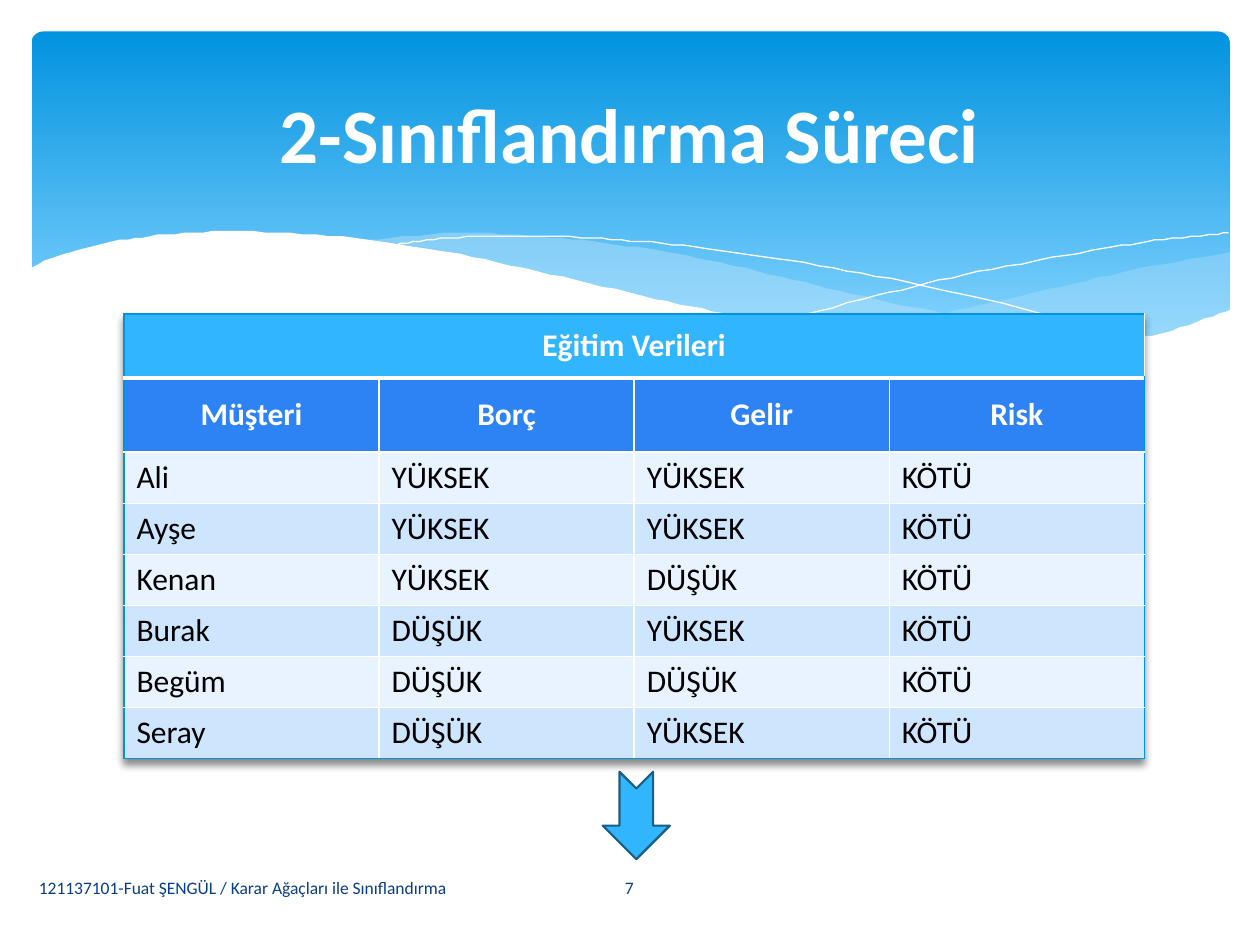
from dataclasses import dataclass
from lxml import etree
from pptx import Presentation
from pptx.dml.color import RGBColor as Rgb
from pptx.enum.shapes import MSO_SHAPE as Shape
from pptx.enum.text import MSO_ANCHOR as Anchor, PP_ALIGN as Align
from pptx.oxml import parse_xml
from pptx.oxml.ns import nsdecls, qn
from pptx.util import Pt


@dataclass(frozen=True)
class Theme:
    font: str = "Calibri"
    title_size: int = 44
    table_size: int = 18
    footer_size: int = 10
    white: str = "FFFFFF"
    black: str = "000000"
    navy: str = "073E87"
    deep: str = "0293E0"
    pale: str = "83D3FE"
    wave: str = "C6E7FC"
    sky: str = "31B6FD"
    blue: str = "2D83F4"
    outline: str = "195F84"
    bands: tuple = ("E8F3FF", "CEE5FE")


def smooth(nodes, steps=8):
    """Catmull-Rom curve through the nodes."""
    ends = [nodes[0], *nodes, nodes[-1]]
    points = [nodes[0]]
    for a, b, c, d in zip(ends, ends[1:], ends[2:], ends[3:]):
        for step in range(1, steps + 1):
            t = step / steps
            points.append(tuple(
                (2 * q + (r - p) * t + (2 * p - 5 * q + 4 * r - s) * t ** 2
                 + (3 * q - p - 3 * r + s) * t ** 3) / 2
                for p, q, r, s in zip(a, b, c, d)))
    return points


class SlideMaker:
    def __init__(self, page, theme):
        self.page, self.theme = page, theme

    def add_span(self, frame, text, size, color, bold=False, align=Align.LEFT):
        para = frame.paragraphs[0]
        para.alignment = align
        span = para.add_run()
        span.text = text
        span.font.color.rgb = Rgb.from_string(color)
        formats = {"name": self.theme.font, "size": Pt(size), "bold": bold}
        for name, value in formats.items():
            setattr(span.font, name, value)

    def text(self, area, text, size, color, **style):
        frame = self.page.shapes.add_textbox(*map(Pt, area)).text_frame
        formats = {"word_wrap": True, "vertical_anchor": Anchor.MIDDLE}
        for name, value in formats.items():
            setattr(frame, name, value)
        self.add_span(frame, text, size, color, **style)

    def shape(self, kind, area):
        box = self.page.shapes.add_shape(kind, *map(Pt, area))
        box.shadow.inherit = False
        return box

    def banner(self, area, corner):
        box = self.shape(Shape.ROUNDED_RECTANGLE, area)
        box.adjustments[0] = corner
        box.line.fill.background()
        box.fill.gradient()
        box.fill.gradient_angle = 270
        stops = ((0, self.theme.deep), (0.9, self.theme.pale))
        for stop, (position, color) in zip(box.fill.gradient_stops, stops):
            stop.position = position
            stop.color.rgb = Rgb.from_string(color)

    def arrow(self, area):
        box = self.shape(Shape.NOTCHED_RIGHT_ARROW, area)
        box.rotation = 90
        box.fill.solid()
        box.fill.fore_color.rgb = Rgb.from_string(self.theme.sky)
        box.line.color.rgb = Rgb.from_string(self.theme.outline)
        box.line.width = Pt(1.25)

    def curve(self, *edges, fill=None, opacity=100):
        """Smooth edges joined in turn; without a fill, an open hairline."""
        points = [point for edge in edges for point in smooth(edge)]
        builder = self.page.shapes.build_freeform(*points[0], scale=Pt(1))
        builder.add_line_segments(points[1:], close=fill is not None)
        wave = builder.convert_to_shape()
        wave.shadow.inherit = False
        if fill is None:
            wave.fill.background()
            wave.line.color.rgb = Rgb.from_string(self.theme.white)
            wave.line.width = Pt(0)
            return
        wave.line.fill.background()
        wave.fill.solid()
        wave.fill.fore_color.rgb = Rgb.from_string(fill)
        if opacity < 100:
            color = wave._element.spPr.find(".//" + qn("a:srgbClr"))
            etree.SubElement(color, qn("a:alpha"), val=str(opacity * 1000))

    def borders(self, cell, sides):
        props = cell._tc.get_or_add_tcPr()
        for side, (color, width) in sides.items():
            props.append(parse_xml(
                f'<a:ln{side} {nsdecls("a")} w="{Pt(width)}"><a:solidFill>'
                f'<a:srgbClr val="{color}"/></a:solidFill></a:ln{side}>'))

    def table(self, left, top, col_width, heights, rows):
        theme, cols = self.theme, len(rows[1])
        table = self.page.shapes.add_table(
            len(rows), cols, Pt(left), Pt(top),
            Pt(col_width * cols), Pt(sum(heights))).table
        table.horz_banding = False
        table._tbl.tblPr.insert(0, parse_xml(
            f'<a:effectLst {nsdecls("a")}><a:outerShdw blurRad="50800" '
            'dist="38100" dir="5400000"><a:srgbClr val="000000">'
            '<a:alpha val="45000"/></a:srgbClr></a:outerShdw></a:effectLst>'))
        for col in table.columns:
            col.width = Pt(col_width)
        table.cell(0, 0).merge(table.cell(0, cols - 1))
        inner, outer = (theme.white, 1), (theme.deep, 1)
        divider = (theme.white, 3)
        for r, (row, height) in enumerate(zip(rows, heights)):
            table.rows[r].height = Pt(height)
            header = r < 2
            fill = (theme.sky, theme.blue)[r] if header else theme.bands[r % 2]
            for c in range(cols):
                cell = table.cell(r, c)
                self.borders(cell, {
                    "L": outer if c == 0 else inner,
                    "R": outer if c == cols - 1 else inner,
                    "T": outer if r == 0 else divider if r == 1 else inner,
                    "B": outer if r == len(rows) - 1 else
                         divider if r == 0 else inner})
                cell.fill.solid()
                cell.fill.fore_color.rgb = Rgb.from_string(fill)
                cell.vertical_anchor = Anchor.MIDDLE if header else Anchor.TOP
                if c < len(row):
                    self.add_span(cell.text_frame, row[c], theme.table_size,
                                  theme.white if header else theme.black,
                                  header,
                                  Align.CENTER if header else Align.LEFT)


def main():
    theme = Theme()
    deck = Presentation()
    deck.slide_width, deck.slide_height = Pt(720), Pt(540)
    maker = SlideMaker(deck.slides.add_slide(deck.slide_layouts[6]), theme)

    # Banner and its waves
    maker.banner((18, 18, 684.7, 194.4), 0.034)
    maker.curve(
        [(702.7, 144), (652.3, 153.4), (619.9, 160.6), (560.9, 174.2),
         (508.3, 185), (475.9, 190.8)],
        [(475.9, 190.8), (517.7, 195.8), (553.7, 199.4), (593.3, 199.4),
         (627.8, 197.3), (663.1, 190.8), (702.7, 177.8)],
        fill=theme.wave, opacity=29)
    maker.curve(
        [(643, 196.6), (581, 187.2), (508.3, 172.8), (452.9, 159.8),
         (399.6, 147.6), (352.1, 139.7), (302.4, 134.6), (259.9, 133.2),
         (205.9, 137.5)],
        [(205.9, 137.5), (260.6, 146.2), (323.3, 159.8), (381.6, 172.8),
         (445, 185.8), (500.4, 194.4), (547.9, 199.4), (596.2, 200.2),
         (643, 196.6)],
        fill=theme.wave, opacity=40)
    maker.curve(
        [(222.5, 140.4), (247.7, 136.8), (288.7, 134.6), (337.7, 136.1),
         (383.8, 139.7), (437.8, 146.9), (500.4, 157.7), (572.4, 173.5),
         (653, 195.8)])
    maker.curve(
        [(441.4, 185), (500.4, 169.2), (558.7, 155.5), (623.5, 143.3),
         (665.3, 136.8), (702, 133.2)])
    maker.curve(
        [(703.4, 177.1), (669.6, 188.6), (638.6, 195.1), (592.6, 199.4),
         (547.9, 198), (495.4, 193), (434.2, 182.9), (380.9, 172.1),
         (321.8, 158.4), (262.8, 145.4), (210.2, 136.8), (151.9, 132.5),
         (105.1, 133.2), (68.4, 137.5), (37.4, 144.7), (16.6, 153.4)],
        [(16.6, 236.9), (703.4, 236.9)],
        fill=theme.white)

    # Training data
    low, high, bad = "DÜŞÜK", "YÜKSEK", "KÖTÜ"
    customers = [("Ali", high, high), ("Ayşe", high, high),
                 ("Kenan", high, low), ("Burak", low, high),
                 ("Begüm", low, low), ("Seray", low, high)]
    rows = [("Eğitim Verileri",), ("Müşteri", "Borç", "Gelir", "Risk"),
            *((*customer, bad) for customer in customers)]
    maker.table(70.8, 179.4, 145.8, [36.6, 42.4] + [29.2] * 6, rows)

    # Footer, page number and title
    maker.text((15.1, 492.5, 298, 28.8),
               "121137101-Fuat ŞENGÜL / Karar Ağaçları ile Sınıflandırma",
               theme.footer_size, theme.navy)
    maker.text((314, 492.5, 91.4, 28.8), "7", theme.footer_size, theme.navy,
               align=Align.CENTER)
    maker.text((36, 26.6, 648, 98.6), "2-Sınıflandırma Süreci",
               theme.title_size, theme.white, bold=True, align=Align.CENTER)

    # Arrow to the next step
    maker.arrow((338.6, 446.8, 50, 38.4))
    deck.save("out.pptx")


if __name__ == "__main__":
    main()
